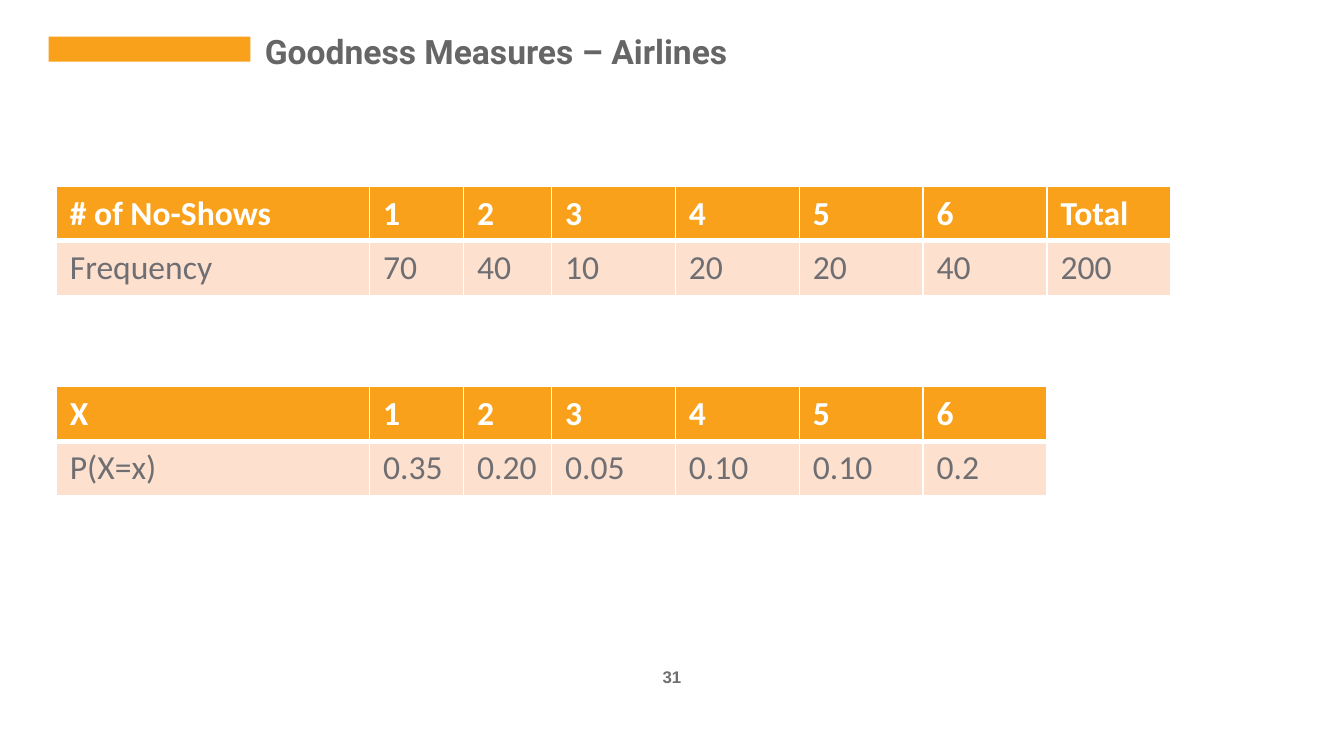
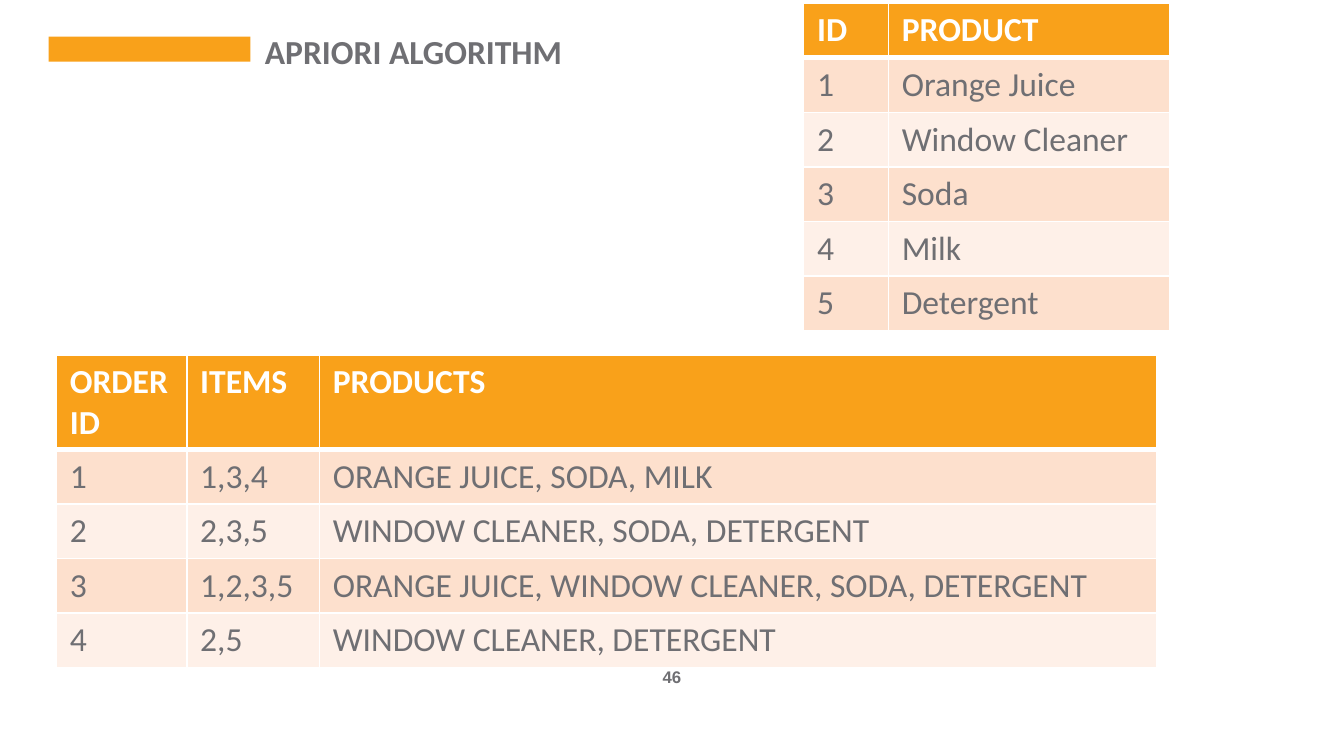
from dataclasses import dataclass

from lxml.etree import SubElement
from pptx import Presentation
from pptx.dml.color import RGBColor
from pptx.enum.shapes import MSO_SHAPE
from pptx.enum.text import MSO_ANCHOR, PP_ALIGN
from pptx.oxml.ns import qn
from pptx.slide import Slide
from pptx.table import _Cell
from pptx.text.text import TextFrame
from pptx.util import Emu, Inches, Pt

W = Inches(10)
H = Emu(W * 9 // 16)
GRID_COLS = 100  # square grid, shared by both directions


@dataclass(frozen=True)
class Theme:
    accent: str = "F9A11A"
    text: str = "6F6F73"
    title_gray: str = "666666"
    white: str = "FFFFFF"
    bands: tuple[str, str] = ("FDE0CD", "FEF0E8")
    body_font: str = "Calibri"
    title_font: str = "Roboto"
    number_font: str = "Arial"
    body_size: int = 18
    number_size: int = 9
    rule: int = 1
    header_rule: int = 3


@dataclass(frozen=True)
class Style:
    font: str
    size: int
    color: str
    bold: bool = False


@dataclass(frozen=True)
class Box:
    """Place and size in grid cells."""
    x: float
    y: float
    w: float
    h: float

    def emu(self) -> tuple[Emu, ...]:
        return tuple(grid(n) for n in (self.x, self.y, self.w, self.h))


@dataclass(frozen=True)
class TableSpec:
    x: float
    y: float
    cols: tuple[float, ...]
    rows: tuple[tuple[str, ...], ...]


@dataclass(frozen=True)
class SlideSpec:
    title: str
    title_style: Style
    number: int
    tables: tuple[TableSpec, ...]


T = Theme()
HEADER = Style(T.body_font, T.body_size, T.white, True)
BODY = Style(T.body_font, T.body_size, T.text)
NUMBER = Style(T.number_font, T.number_size, T.text, True)

BAND_BOX = Box(3.63, 2.72, 15, 1.87)
TITLE_BOX = Box(18.72, 2.1, 75.9, 3.4)
NUMBER_BOX = Box(42.5, 49.1, 15, 2.5)
LEFT = 4.2
ROW_H = 4.06
COUNT_COLS = (23.3, 7, 6.55, 9.22, 9.22, 9.22)
OUTCOMES = tuple("123456")

SLIDES = (
    SlideSpec(
        "Goodness Measures – Airlines",
        Style(T.title_font, T.body_size, T.title_gray, True),
        31,
        (
            TableSpec(LEFT, 28.77, COUNT_COLS + (9.22,), (
                ("X", *OUTCOMES),
                ("P(X=x)", "0.35", "0.20", "0.05", "0.10", "0.10", "0.2"),
            )),
            TableSpec(LEFT, 13.87, COUNT_COLS + (9.22, 9.22), (
                ("# of No-Shows", *OUTCOMES, "Total"),
                ("Frequency", "70", "40", "10", "20", "20", "40", "200"),
            )),
        ),
    ),
    SlideSpec(
        "APRIORI ALGORITHM",
        Style(T.body_font, T.body_size, T.text, True),
        46,
        (
            TableSpec(59.8, 0.24, (6.3, 20.92), (
                ("ID", "PRODUCT"),
                ("1", "Orange Juice"),
                ("2", "Window Cleaner"),
                ("3", "Soda"),
                ("4", "Milk"),
                ("5", "Detergent"),
            )),
            TableSpec(LEFT, 26.43, (9.7, 9.87, 62.3), (
                ("ORDER ID", "ITEMS", "PRODUCTS"),
                ("1", "1,3,4", "ORANGE JUICE, SODA, MILK"),
                ("2", "2,3,5", "WINDOW CLEANER, SODA, DETERGENT"),
                ("3", "1,2,3,5", "ORANGE JUICE, WINDOW CLEANER, SODA, DETERGENT"),
                ("4", "2,5", "WINDOW CLEANER, DETERGENT"),
            )),
        ),
    ),
)


def grid(n: float) -> Emu:
    return Emu(round(n * W / GRID_COLS))


def rgb(color: str) -> RGBColor:
    return RGBColor.from_string(color)


def write(tf: TextFrame, text: str, style: Style) -> None:
    tf.text = text
    font = tf.paragraphs[0].runs[0].font
    font.name, font.size, font.bold = style.font, Pt(style.size), style.bold
    font.color.rgb = rgb(style.color)


def set_borders(cell: _Cell, top: int, bottom: int) -> None:
    """Draw white rules; line elements must precede the cell's fill."""
    tc_pr = cell._tc.get_or_add_tcPr()
    widths = {"lnL": T.rule, "lnR": T.rule, "lnT": top, "lnB": bottom}
    for i, (tag, width) in enumerate(widths.items()):
        ln = SubElement(tc_pr, qn(f"a:{tag}"), w=str(Pt(width)))
        fill = SubElement(ln, qn("a:solidFill"))
        SubElement(fill, qn("a:srgbClr"), val=T.white)
        tc_pr.insert(i, ln)


def add_band(s: Slide) -> None:
    sp = s.shapes.add_shape(MSO_SHAPE.RECTANGLE, *BAND_BOX.emu())
    sp.shadow.inherit = False
    sp.fill.solid()
    sp.fill.fore_color.rgb = rgb(T.accent)
    sp.line.fill.background()


def add_text(s: Slide, box: Box, text: str, style: Style) -> TextFrame:
    tf = s.shapes.add_textbox(*box.emu()).text_frame
    tf.word_wrap = True
    write(tf, text, style)
    return tf


def add_table(s: Slide, spec: TableSpec) -> None:
    box = Box(spec.x, spec.y, sum(spec.cols), ROW_H * len(spec.rows))
    table = s.shapes.add_table(len(spec.rows), len(spec.cols), *box.emu()).table
    table.horz_banding = False
    for col, width in zip(table.columns, spec.cols):
        col.width = grid(width)
    for i, row in enumerate(spec.rows):
        for j, text in enumerate(row):
            cell = table.cell(i, j)
            write(cell.text_frame, text, BODY if i else HEADER)
            cell.fill.solid()
            cell.fill.fore_color.rgb = rgb(T.bands[(i - 1) % 2] if i else T.accent)
            set_borders(cell,
                        top=T.header_rule if i == 1 else T.rule,
                        bottom=T.header_rule if i == 0 else T.rule)


def add_slide(prs: Presentation, spec: SlideSpec) -> None:
    s = prs.slides.add_slide(prs.slide_layouts[6])
    add_band(s)
    number = add_text(s, NUMBER_BOX, str(spec.number), NUMBER)
    number.paragraphs[0].alignment = PP_ALIGN.CENTER
    title = add_text(s, TITLE_BOX, spec.title, spec.title_style)
    title.vertical_anchor = MSO_ANCHOR.MIDDLE
    title.margin_top = title.margin_bottom = grid(1)
    for table in spec.tables:
        add_table(s, table)


def main() -> None:
    prs = Presentation()
    prs.slide_width, prs.slide_height = W, H
    for spec in SLIDES:
        add_slide(prs, spec)
    prs.save("out.pptx")


if __name__ == "__main__":
    main()
